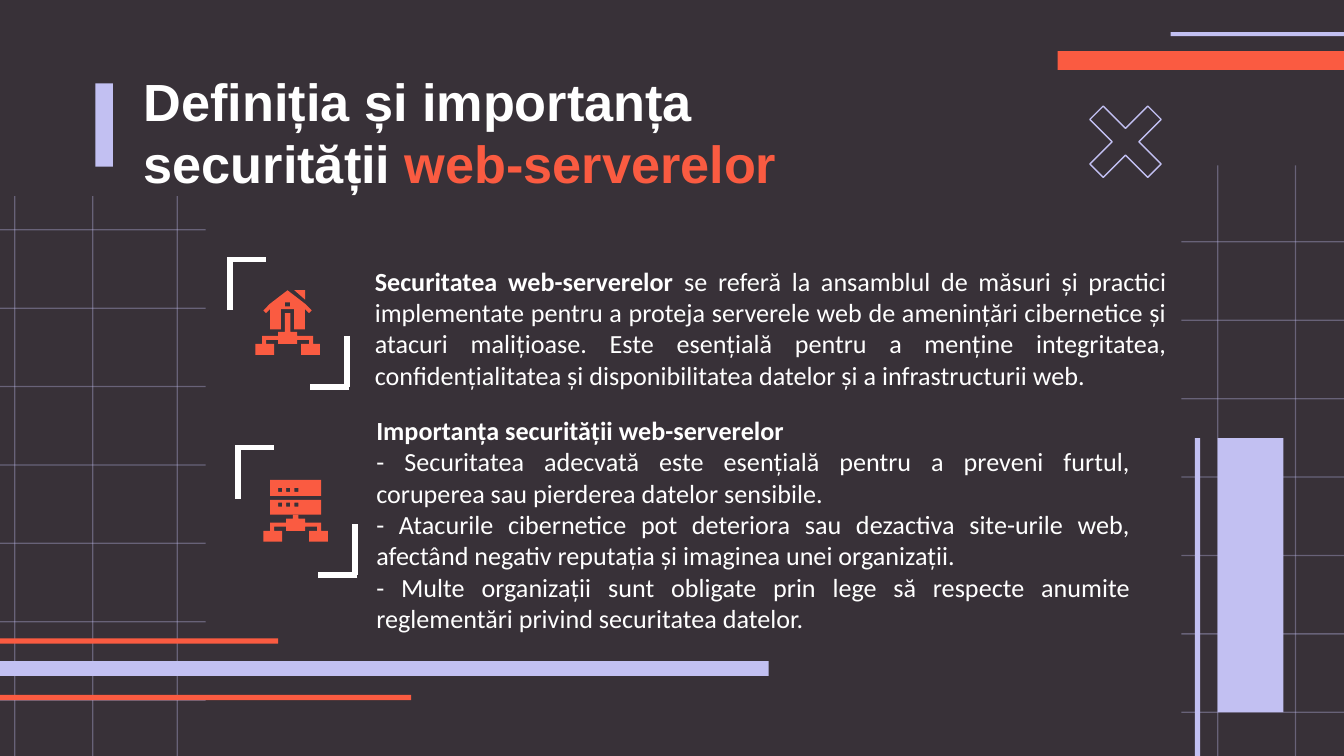
from typing import NamedTuple

from lxml.etree import SubElement
from pptx import Presentation
from pptx.dml.color import RGBColor
from pptx.enum.shapes import MSO_CONNECTOR, MSO_SHAPE
from pptx.enum.text import MSO_ANCHOR, MSO_AUTO_SIZE, PP_ALIGN
from pptx.oxml.ns import qn
from pptx.util import Inches, Pt

BACKGROUND = RGBColor(0x38, 0x31, 0x38)
LILAC = RGBColor(0xC2, 0xC0, 0xF2)
CORAL = RGBColor(0xFA, 0x5B, 0x41)
WHITE = RGBColor(0xFF, 0xFF, 0xFF)

WIDTH = 10
HEIGHT = WIDTH * 9 / 16
GRID_ROWS, HAIRLINE = 7, 0.01
GRID_STEP = 3.5 / (GRID_ROWS - 1)

Points = list[tuple[float, float]]


class Bar(NamedTuple):
    left: float
    top: float
    width: float
    height: float
    color: RGBColor


class Grid(NamedTuple):
    left: float
    right: float
    top: float
    first_row: float
    columns: tuple[float, ...]


class Run(NamedTuple):
    text: str
    bold: bool = False
    color: RGBColor = WHITE


GRIDS = [
    Grid(8.79, WIDTH, 1.23, 1.8, (9.06, 9.64)),
    Grid(0, 1.53, 1.46, 1.71, (0.11, 0.69, 1.32)),
]
BARS = [
    Bar(7.87, 0.38, WIDTH - 7.87, 0.14, CORAL),
    Bar(0, 4.92, 5.72, 0.11, LILAC),
    Bar(0, 5.17, 3.06, 0.04, CORAL),
    Bar(0, 4.75, 2.07, 0.04, CORAL),
    Bar(9.06, 3.26, 0.49, 2.04, LILAC),
    Bar(8.71, 0.24, WIDTH - 8.71, 0.03, LILAC),
    Bar(0.71, 0.62, 0.13, 0.62, LILAC),
]
TITLE = [[Run("Definiția și importanța securității ", True),
          Run("web-serverelor", True, CORAL)]]
DEFINITION = [[
    Run("Securitatea web-serverelor", True),
    Run(" se referă la ansamblul de măsuri și practici implementate pentru a "
        "proteja serverele web de amenințări cibernetice și atacuri malițioase. "
        "Este esențială pentru a menține integritatea, confidențialitatea și "
        "disponibilitatea datelor și a infrastructurii web."),
]]
IMPORTANCE = [
    [Run("Importanța securității web-serverelor", True)],
    [Run("- Securitatea adecvată este esențială pentru a preveni furtul, "
         "coruperea sau pierderea datelor sensibile.")],
    [Run("- Atacurile cibernetice pot deteriora sau dezactiva site-urile web, "
         "afectând negativ reputația și imaginea unei organizații.")],
    [Run("- Multe organizații sunt obligate prin lege să respecte anumite "
         "reglementări privind securitatea datelor.")],
]

# Right halves of symmetric icon outlines, relative to the middle of the hub's top
NETWORK_HALF = [(0.02, 0), (0.07, 0), (0.07, 0.03), (0.19, 0.03), (0.19, 0.09),
                (0.24, 0.09), (0.24, 0.17), (0.1, 0.17), (0.1, 0.09),
                (0.16, 0.09), (0.16, 0.06), (0.07, 0.06), (0.07, 0.09)]
HOUSE_HALF = [(0, -0.31), (0.13, -0.21), (0.18, -0.16), (0.16, -0.14),
              (0.13, -0.17), (0.13, -0.02), (0.05, -0.02), (0.05, -0.17)]
CHIMNEY = [(0.05, -0.31), (0.13, -0.24), (0.13, -0.31)]


def add_bar(slide, bar: Bar, alpha: int | None = None) -> None:
    shape = slide.shapes.add_shape(
        MSO_SHAPE.RECTANGLE, Inches(bar.left), Inches(bar.top),
        Inches(bar.width), Inches(bar.height))
    shape.shadow.inherit = False
    shape.fill.solid()
    shape.fill.fore_color.rgb = bar.color
    shape.line.fill.background()
    if alpha is not None:
        color = shape.fill._xPr.find(qn("a:solidFill"))[0]
        SubElement(color, qn("a:alpha")).set("val", str(alpha * 1000))


def add_grid(slide, grid: Grid) -> None:
    for row in range(GRID_ROWS):
        y = grid.first_row + row * GRID_STEP - HAIRLINE / 2
        add_bar(slide, Bar(grid.left, y, grid.right - grid.left, HAIRLINE, LILAC), 35)
    for x in grid.columns:
        add_bar(slide, Bar(x - HAIRLINE / 2, grid.top, HAIRLINE, HEIGHT - grid.top, LILAC), 35)


def write_text(shape, paragraphs: list[list[Run]], *, font: str, size: float,
               align: PP_ALIGN, left_margin: float = 0.1) -> None:
    frame = shape.text_frame
    frame.word_wrap = True
    frame.auto_size = MSO_AUTO_SIZE.NONE
    frame.vertical_anchor = MSO_ANCHOR.MIDDLE
    frame.margin_left = Inches(left_margin)
    frame.margin_right = frame.margin_top = frame.margin_bottom = Inches(0.1)
    for index, runs in enumerate(paragraphs):
        paragraph = frame.add_paragraph() if index else frame.paragraphs[0]
        paragraph.alignment = align
        for item in runs:
            run = paragraph.add_run()
            run.text = item.text
            run.font.name, run.font.size = font, Pt(size)
            run.font.bold = item.bold
            run.font.color.rgb = item.color


def add_line(slide, x1: float, y1: float, x2: float, y2: float) -> None:
    line = slide.shapes.add_connector(
        MSO_CONNECTOR.STRAIGHT, Inches(x1), Inches(y1), Inches(x2), Inches(y2))
    line.line.color.rgb = WHITE
    line.line.width = Pt(3)
    SubElement(line._element.spPr, qn("a:effectLst"))


def add_brackets(slide, left: float, top: float) -> None:
    """Draw the top-left corner and its mirror at the bottom right."""
    for x, y, sign in ((left, top, 1), (left + 0.87, top + 0.95, -1)):
        add_line(slide, x, y + sign * 0.38, x, y)
        add_line(slide, x - sign * 0.02, y, x + sign * 0.27, y)


def mirrored(half: Points) -> Points:
    return half + [(-x, y) for x, y in reversed(half)]


def box(left: float, top: float, right: float, bottom: float) -> Points:
    return [(left, top), (right, top), (right, bottom), (left, bottom)]


def add_outline(slide, x: float, y: float, *contours: Points) -> None:
    """Fill the first contour; the others are holes in it."""
    placed = [[(Inches(x + dx), Inches(y + dy)) for dx, dy in contour]
              for contour in contours]
    builder = slide.shapes.build_freeform(*placed[0][0])
    for index, contour in enumerate(placed):
        if index:
            builder.move_to(*contour[0])
        builder.add_line_segments(contour[1:], close=True)
    shape = builder.convert_to_shape()
    shape.shadow.inherit = False
    shape.fill.solid()
    shape.fill.fore_color.rgb = CORAL
    shape.line.fill.background()


def add_network(slide, x: float, y: float, stem: float) -> None:
    add_outline(slide, x, y, mirrored([(0.02, -stem)] + NETWORK_HALF))


def add_house_icon(slide, x: float, y: float) -> None:
    add_network(slide, x, y, 0.14)
    add_outline(slide, x, y, mirrored(HOUSE_HALF), box(-0.02, -0.22, 0.02, -0.19))
    add_outline(slide, x, y, CHIMNEY)


def add_server_icon(slide, x: float, y: float) -> None:
    add_network(slide, x, y, 0.03)
    for top, bottom, light in ((-0.14, -0.03, -0.12), (-0.29, -0.17, -0.23)):
        lights = [box(left, light, left + 0.03, light + 0.03)
                  for left in (-0.13, -0.07, -0.01)]
        add_outline(slide, x, y, box(-0.19, top, 0.19, bottom), *lights)


def main() -> None:
    presentation = Presentation()
    presentation.slide_width, presentation.slide_height = Inches(WIDTH), Inches(HEIGHT)
    slide = presentation.slides.add_slide(presentation.slide_layouts[5])
    slide.background.fill.solid()
    slide.background.fill.fore_color.rgb = BACKGROUND

    # Background decoration
    add_bar(slide, Bar(8.89, 3.26, 0.04, HEIGHT - 3.26, LILAC))
    for grid in GRIDS:
        add_grid(slide, grid)
    for bar in BARS:
        add_bar(slide, bar)

    # Title and text
    title = slide.shapes.title
    title.left, title.top = Inches(0.97), Inches(0.57)
    title.width, title.height = Inches(5.6), Inches(0.82)
    write_text(title, TITLE, font="Arial", size=28, align=PP_ALIGN.LEFT)
    for paragraphs, left, top, width, height, margin in (
            (DEFINITION, 2.69, 1.81, 6.09, 1.26, 0.1),
            (IMPORTANCE, 2.55, 3.32, 5.96, 1.16, 0.25)):
        text_box = slide.shapes.add_textbox(
            Inches(left), Inches(top), Inches(width), Inches(height))
        write_text(text_box, paragraphs, font="Calibri", size=14,
                   align=PP_ALIGN.JUSTIFY, left_margin=margin)

    # Framed icons
    add_brackets(slide, 1.71, 1.93)
    add_brackets(slide, 1.77, 3.33)
    add_house_icon(slide, 2.14, 2.47)
    add_server_icon(slide, 2.2, 3.86)

    # Outlined cross
    cross = slide.shapes.add_shape(
        MSO_SHAPE.MATH_MULTIPLY, Inches(7.96), Inches(0.64), Inches(0.83), Inches(0.83))
    cross.adjustments[0] = 0.17
    cross.shadow.inherit = False
    cross.fill.background()
    cross.line.color.rgb = LILAC
    cross.line.width = Pt(0.75)

    presentation.save("out.pptx")


if __name__ == "__main__":
    main()
